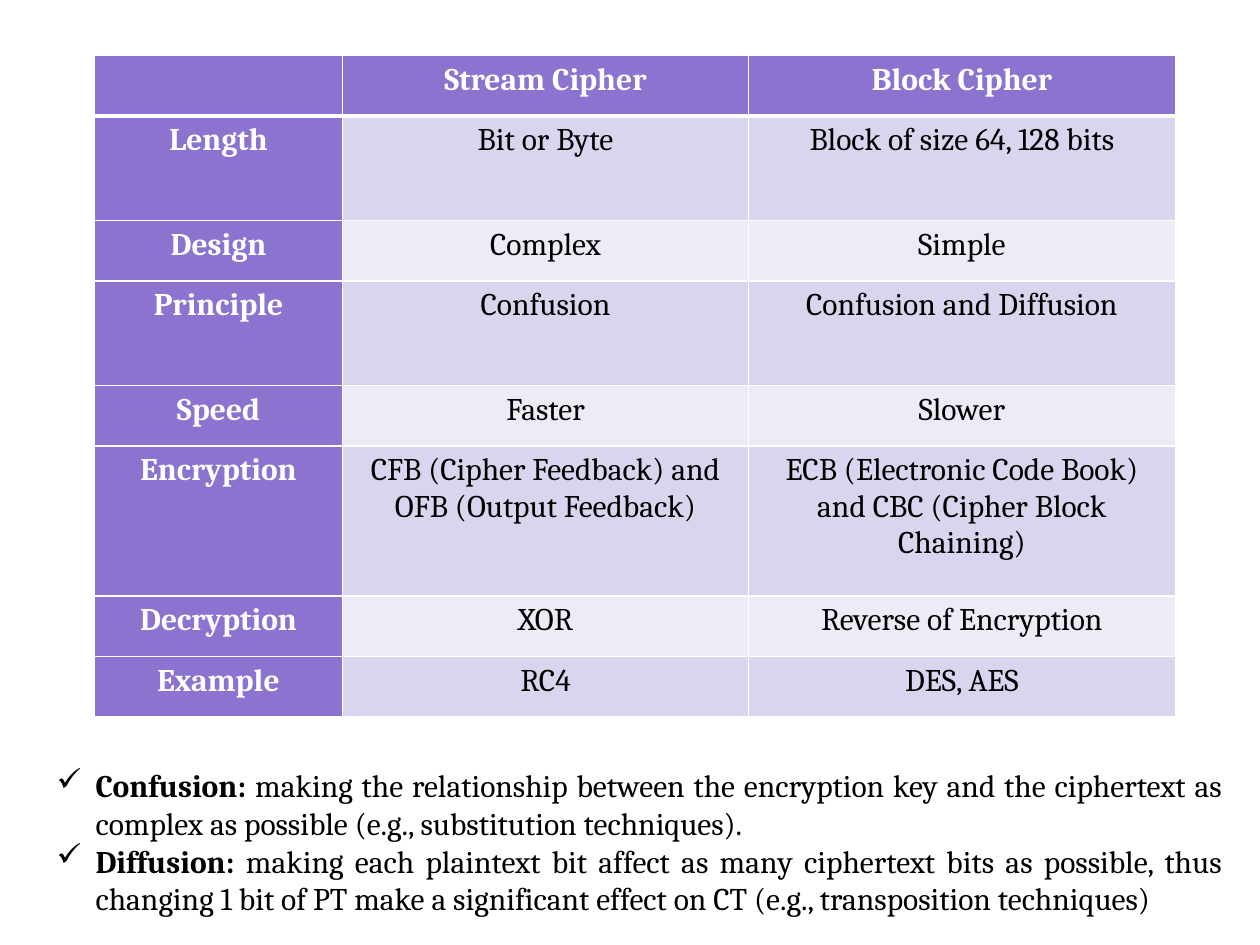
from lxml.etree import SubElement
from pptx import Presentation
from pptx.dml.color import RGBColor
from pptx.enum.text import MSO_AUTO_SIZE, PP_ALIGN
from pptx.oxml.ns import qn
from pptx.util import Inches, Pt

PURPLE, LILAC, PALE = "8C73D0", "DAD5EE", "EEEBF7"
WHITE, BLACK = "FFFFFF", "000000"

COLUMNS = [1.97, 3.22, 3.39]
HEIGHTS = [0.48, 0.83, 0.48, 0.83, 0.48, 1.19, 0.48, 0.48]
CIPHERS = [
    ("", "Stream Cipher", "Block Cipher"),
    ("Length", "Bit or Byte", "Block of size 64, 128 bits"),
    ("Design", "Complex", "Simple"),
    ("Principle", "Confusion", "Confusion and Diffusion"),
    ("Speed", "Faster", "Slower"),
    ("Encryption", "CFB (Cipher Feedback) and OFB (Output Feedback)",
     "ECB (Electronic Code Book) and CBC (Cipher Block Chaining)"),
    ("Decryption", "XOR", "Reverse of Encryption"),
    ("Example", "RC4", "DES, AES"),
]
DEFINITIONS = [
    ("Confusion: ", "making the relationship between the encryption key and the "
     "ciphertext as complex as possible (e.g., substitution techniques)."),
    ("Diffusion: ", "making each plaintext bit affect as many ciphertext bits as "
     "possible, thus changing 1 bit of PT make a significant effect on CT "
     "(e.g., transposition techniques)"),
]


def rgb(color):
    return RGBColor.from_string(color)


def add_text(p, text, font="Cambria", size=18, color=BLACK, bold=False, align=PP_ALIGN.CENTER):
    p.alignment = align
    r = p.add_run()
    r.text = text
    r.font.name, r.font.size, r.font.bold = font, Pt(size), bold
    r.font.color.rgb = rgb(color)


def add_border(cell, side, width, color=WHITE):
    ln = SubElement(cell._tc.get_or_add_tcPr(), qn(f"a:ln{side}"), w=str(Pt(width)))
    fill = SubElement(ln, qn("a:solidFill"))
    SubElement(fill, qn("a:srgbClr"), val=color)


def add_bullet(p, char, indent):
    pPr = p._p.get_or_add_pPr()
    pPr.set("marL", str(indent))
    pPr.set("indent", str(-indent))
    SubElement(pPr, qn("a:buChar"), char=char)


class SlideBuilder:
    """Hold the table style and the current slide."""

    def __init__(self, slide, head=PURPLE, bands=(PALE, LILAC)):
        self.s, self.head, self.bands = slide, head, bands

    def table(self, x, y, widths, heights, rows):
        table = self.s.shapes.add_table(
            len(rows), len(widths), Inches(x), Inches(y),
            Inches(sum(widths)), Inches(sum(heights))).table
        for column, width in zip(table.columns, widths):
            column.width = Inches(width)
        for i, (row, height) in enumerate(zip(rows, heights)):
            table.rows[i].height = Inches(height)
            for j, text in enumerate(row):
                self.cell(table.cell(i, j), text, i, j)

    def cell(self, cell, text, i, j):
        for side in "LRTB":
            thick = (i, side) in ((0, "B"), (1, "T"))
            add_border(cell, side, 3 if thick else 1)
        heading = i == 0 or j == 0
        cell.fill.solid()
        cell.fill.fore_color.rgb = rgb(self.head if heading else self.bands[i % 2])
        if text:
            add_text(cell.text_frame.paragraphs[0], text,
                     color=WHITE if heading else BLACK, bold=heading)

    def definitions(self, x, y, width, height, items):
        tf = self.s.shapes.add_textbox(
            Inches(x), Inches(y), Inches(width), Inches(height)).text_frame
        tf.word_wrap = True
        tf.auto_size = MSO_AUTO_SIZE.SHAPE_TO_FIT_TEXT
        for i, (term, meaning) in enumerate(items):
            p = tf.add_paragraph() if i else tf.paragraphs[0]
            add_bullet(p, "✓", Inches(0.31))
            add_text(p, term, bold=True, align=PP_ALIGN.JUSTIFY)
            add_text(p, meaning, align=PP_ALIGN.JUSTIFY)


def main():
    prs = Presentation()
    prs.slide_width, prs.slide_height = Inches(10), Inches(7.5)
    builder = SlideBuilder(prs.slides.add_slide(prs.slide_layouts[6]))
    builder.table(0.75, 0.44, COLUMNS, HEIGHTS, CIPHERS)
    builder.definitions(0.35, 6.03, 9.45, 1.31, DEFINITIONS)
    prs.save("out.pptx")


if __name__ == "__main__":
    main()
